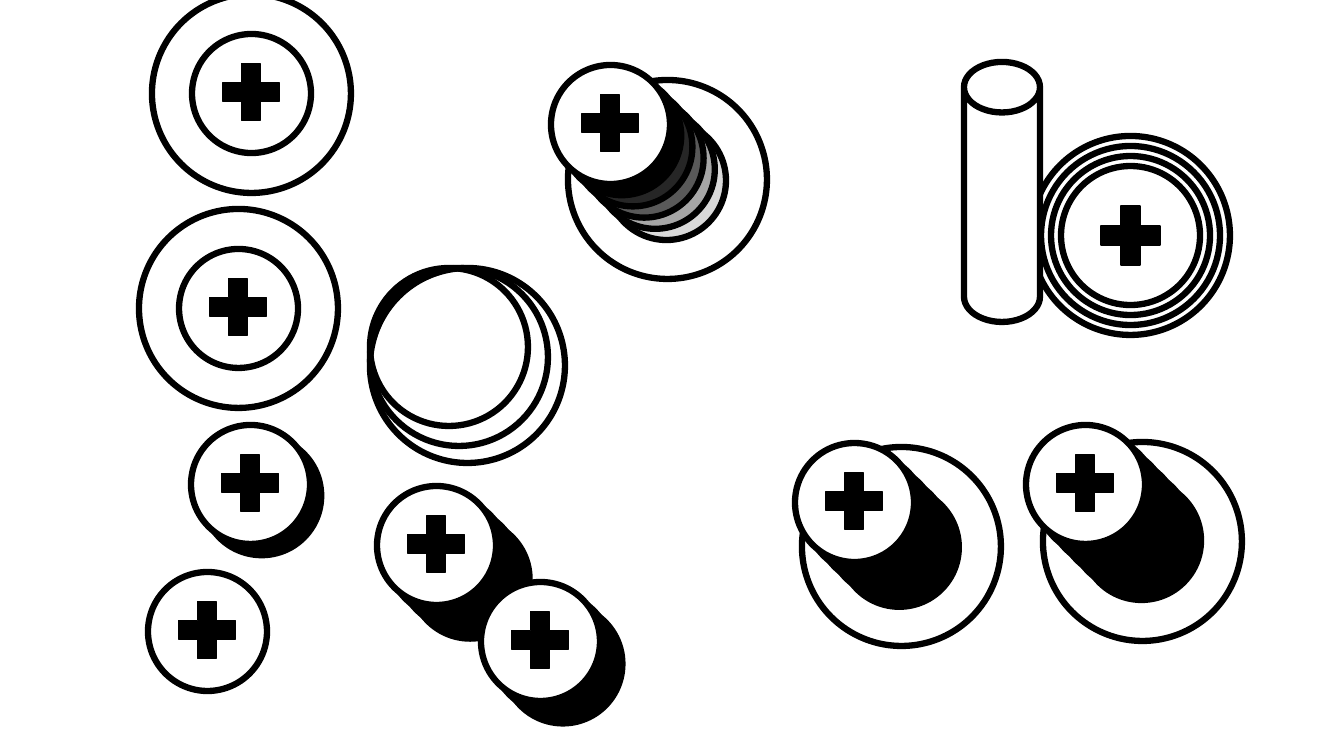
"""Build a slide of round buttons with plus signs, rings, stacked shadows and a can."""
from pptx import Presentation
from pptx.dml.color import RGBColor
from pptx.enum.shapes import MSO_SHAPE
from pptx.util import Pt

EMU_PER_PX = 914400 / 100.8
BLACK, WHITE = "000000", "FFFFFF"
BOLD, FINE = 4.5, 1

RING, CAP, PLUS = 199, 119, 78
PLUS_LEFT, PLUS_TOP = 20, 19
SHADOW_STEP = 11.2

SOLID = [BLACK] * 5
SHADES = ["D9D9D9", "A6A6A6", "595959", "262626", BLACK]

BUTTONS = [
    {"cap": (1026, 425), "ring": (1043, 442), "shadows": SOLID},
    {"cap": (179, 249), "ring": (139, 209), "shadows": []},
    {"cap": (192, 34), "ring": (152, -6), "shadows": []},
    {"cap": (377, 486), "ring": None, "shadows": SOLID[:3]},
    {"cap": (481, 582), "ring": None, "shadows": SOLID[:2]},
    {"cap": (191, 425), "ring": None, "shadows": SOLID[:1]},
    {"cap": (148, 572), "ring": None, "shadows": []},
    {"cap": (795, 443), "ring": (802, 447), "shadows": SOLID[:4]},
    {"cap": (551, 65), "ring": (568, 80), "shadows": SHADES},
]

TARGET_LEFT, TARGET_TOP = 1031, 136
TARGET_INSETS = [0, 10, 20, 30]
TARGET_PLUS = 80

CORNER_LEFT, CORNER_TOP = 370, 268
CORNER_SIZES = [195, 178, 158]

CAN = (964, 62, 76, 260)
CAN_LID = 0.665


def px(length):
    return round(length * EMU_PER_PX)


def paint(color_format, color):
    color_format.rgb = RGBColor.from_string(color)


def draw(parent, kind, left, top, width, height, fill=WHITE, weight=BOLD):
    part = parent.shapes.add_shape(kind, px(left), px(top), px(width), px(height))
    part.shadow.inherit = False
    if fill:
        part.fill.solid()
        paint(part.fill.fore_color, fill)
    else:
        part.fill.background()
    paint(part.line.color, BLACK)
    part.line.width = Pt(weight)
    return part


def circle(parent, left, top, size, fill=WHITE):
    draw(parent, MSO_SHAPE.OVAL, left, top, size, size, fill)


def plus(parent, left, top, size):
    draw(parent, MSO_SHAPE.MATH_PLUS, left, top, size, size, BLACK, FINE)


def button(slide, cap, ring, shadows):
    group = slide.shapes.add_group_shape()
    left, top = cap
    if ring:
        circle(group, *ring, RING)
    for depth, shade in zip(range(len(shadows), 0, -1), shadows):
        shift = depth * SHADOW_STEP
        circle(group, left + shift, top + shift, CAP, shade)
    circle(group, left, top, CAP)
    plus(group, left + PLUS_LEFT, top + PLUS_TOP, PLUS)


def target(slide):
    group = slide.shapes.add_group_shape()
    for inset in TARGET_INSETS:
        fill = None if inset else WHITE
        circle(group, TARGET_LEFT + inset, TARGET_TOP + inset, RING - 2 * inset, fill)
    margin = (RING - TARGET_PLUS) / 2
    plus(group, TARGET_LEFT + margin, TARGET_TOP + margin, TARGET_PLUS)


deck = Presentation()
deck.slide_width, deck.slide_height = px(1344), px(756)
slide = deck.slides.add_slide(deck.slide_layouts[6])

target(slide)
for size in CORNER_SIZES:
    circle(slide, CORNER_LEFT, CORNER_TOP, size, WHITE if size == CORNER_SIZES[0] else None)
for parts in BUTTONS:
    button(slide, **parts)
can = draw(slide, MSO_SHAPE.CAN, *CAN)
can.adjustments[0] = CAN_LID

deck.save("out.pptx")
